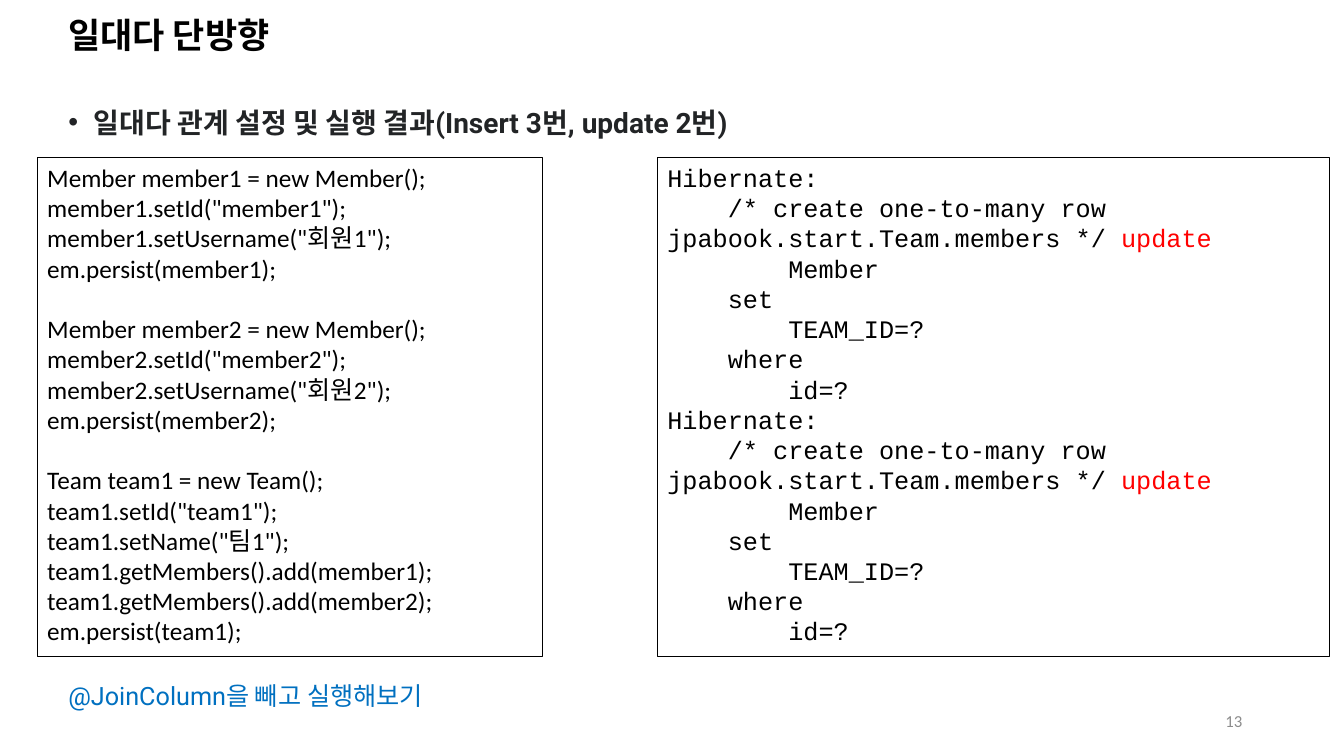
import dataclasses

import lxml.etree
import pptx
import pptx.dml.color
import pptx.enum.shapes
import pptx.enum.text
import pptx.oxml.ns
import pptx.util

Inches = pptx.util.Inches
Pt = pptx.util.Pt
Align = pptx.enum.text.PP_ALIGN
Anchor = pptx.enum.text.MSO_ANCHOR


@dataclasses.dataclass(frozen=True)
class Theme:
    black: str = "000000"
    ink: str = "222426"
    grey: str = "8C8C8C"
    red: str = "FF0000"
    blue: str = "0070C0"
    title_size: float = 25
    heading_size: float = 20
    text_size: float = 18
    number_size: float = 12
    code_pitch: float = 21.6
    border: float = 0.75
    tab: float = 0.6


THEME = Theme()

JAVA_BLOCKS = [
    [
        f"Member member{number} = new Member();",
        f'member{number}.setId("member{number}");',
        f'member{number}.setUsername("회원{number}");',
        f"em.persist(member{number});",
    ]
    for number in (1, 2)
] + [[
    "Team team1 = new Team();",
    'team1.setId("team1");',
    'team1.setName("팀1");',
    "team1.getMembers().add(member1);",
    "team1.getMembers().add(member2);",
    "em.persist(team1);",
]]

UPDATE_LOG = [
    (0, "Hibernate:"),
    (1, "/* create one-to-many row jpabook.start.Team.members */ ", "update"),
    (2, "Member"),
    (1, "set"),
    (2, "TEAM_ID=?"),
    (1, "where"),
    (2, "id=?"),
]


def apply(target, values):
    for name, value in values.items():
        setattr(target, name, value)


def place(shape, box):
    names = ("left", "top", "width", "height")
    apply(shape, {name: Inches(value) for name, value in zip(names, box)})


def add_span(para, text, font, size, color, bold=False):
    span = para.add_run()
    span.text = text
    apply(span.font, {"name": font, "size": Pt(size), "bold": bold})
    span.font.color.rgb = pptx.dml.color.RGBColor.from_string(color)


def set_indent(para, margin, first_line):
    properties = para._p.get_or_add_pPr()
    properties.set("marL", str(Inches(margin)))
    properties.set("indent", str(Inches(first_line)))
    return properties


def add_text(page, box, **frame_format):
    shape = page.shapes.add_textbox(*map(Inches, box))
    apply(shape.text_frame, {"word_wrap": True, **frame_format})
    return shape.text_frame.paragraphs[0]


def add_title(page, box):
    title = page.shapes.title
    place(title, box)
    apply(title.text_frame, {
        "vertical_anchor": Anchor.MIDDLE,
        "word_wrap": True,
        "auto_size": pptx.enum.text.MSO_AUTO_SIZE.NONE,
    })
    para = title.text_frame.paragraphs[0]
    apply(para, {"alignment": Align.LEFT, "line_spacing": 0.9})
    add_span(para, "일대다 단방향", "Arial", THEME.title_size, THEME.black, True)


def add_heading(page, box):
    para = add_text(page, box)
    apply(para, {"line_spacing": 1.5, "space_before": Pt(10)})
    properties = set_indent(para, 0.25, -0.25)
    for tag, name, value in (("a:buFont", "typeface", "Arial"), ("a:buChar", "char", "•")):
        bullet = lxml.etree.SubElement(properties, pptx.oxml.ns.qn(tag))
        bullet.set(name, value)
    add_span(para, "일대다 관계 설정 및 실행 결과(Insert 3번, update 2번)",
             "Roboto", THEME.heading_size, THEME.ink, True)


def add_code_panel(page, box):
    panel = page.shapes.add_shape(
        pptx.enum.shapes.MSO_SHAPE.RECTANGLE, *map(Inches, box))
    panel.shadow.inherit = False
    panel.fill.background()
    panel.line.color.rgb = pptx.dml.color.RGBColor.from_string(THEME.black)
    panel.line.width = Pt(THEME.border)
    apply(panel.text_frame, {"word_wrap": True, "vertical_anchor": Anchor.TOP})
    return panel.text_frame


def add_code_line(frame, index):
    para = frame.add_paragraph() if index else frame.paragraphs[0]
    apply(para, {"alignment": Align.LEFT, "line_spacing": Pt(THEME.code_pitch)})
    return para


def add_java(page, box):
    frame = add_code_panel(page, box)
    index = 0
    for block in JAVA_BLOCKS:
        for row, line in enumerate(block):
            para = add_code_line(frame, index)
            if index and row == 0:
                para.space_before = Pt(THEME.code_pitch)
            add_span(para, line, "Calibri", THEME.text_size, THEME.black)
            index += 1


def add_log(page, box):
    frame = add_code_panel(page, box)
    for index, (level, line, *keywords) in enumerate(UPDATE_LOG * 2):
        para = add_code_line(frame, index)
        set_indent(para, 0, level * THEME.tab)
        add_span(para, line, "Courier New", THEME.text_size, THEME.black)
        for keyword in keywords:
            add_span(para, keyword, "Courier New", THEME.text_size, THEME.red)


def add_exercise(page, box):
    para = add_text(page, box, word_wrap=False)
    add_span(para, "@JoinColumn을 빼고 실행해보기", "Roboto", THEME.text_size, THEME.blue)


def add_page_number(page, box):
    para = add_text(page, box, vertical_anchor=Anchor.MIDDLE)
    para.alignment = Align.RIGHT
    add_span(para, "13", "Calibri", THEME.number_size, THEME.grey)


def main():
    deck = pptx.Presentation()
    apply(deck, {"slide_width": Inches(13.33), "slide_height": Inches(7.5)})
    page = deck.slides.add_slide(deck.slide_layouts.get_by_name("Title Only"))
    add_title(page, (0.58, 0.18, 11.5, 0.38))
    add_heading(page, (0.58, 0.83, 12.39, 0.7))
    add_page_number(page, (9.42, 6.95, 3, 0.4))
    add_log(page, (6.52, 1.56, 6.67, 4.95))
    add_exercise(page, (0.58, 6.7, 4.03, 0.4))
    add_java(page, (0.37, 1.56, 5.01, 4.95))
    deck.save("out.pptx")


if __name__ == "__main__":
    main()
